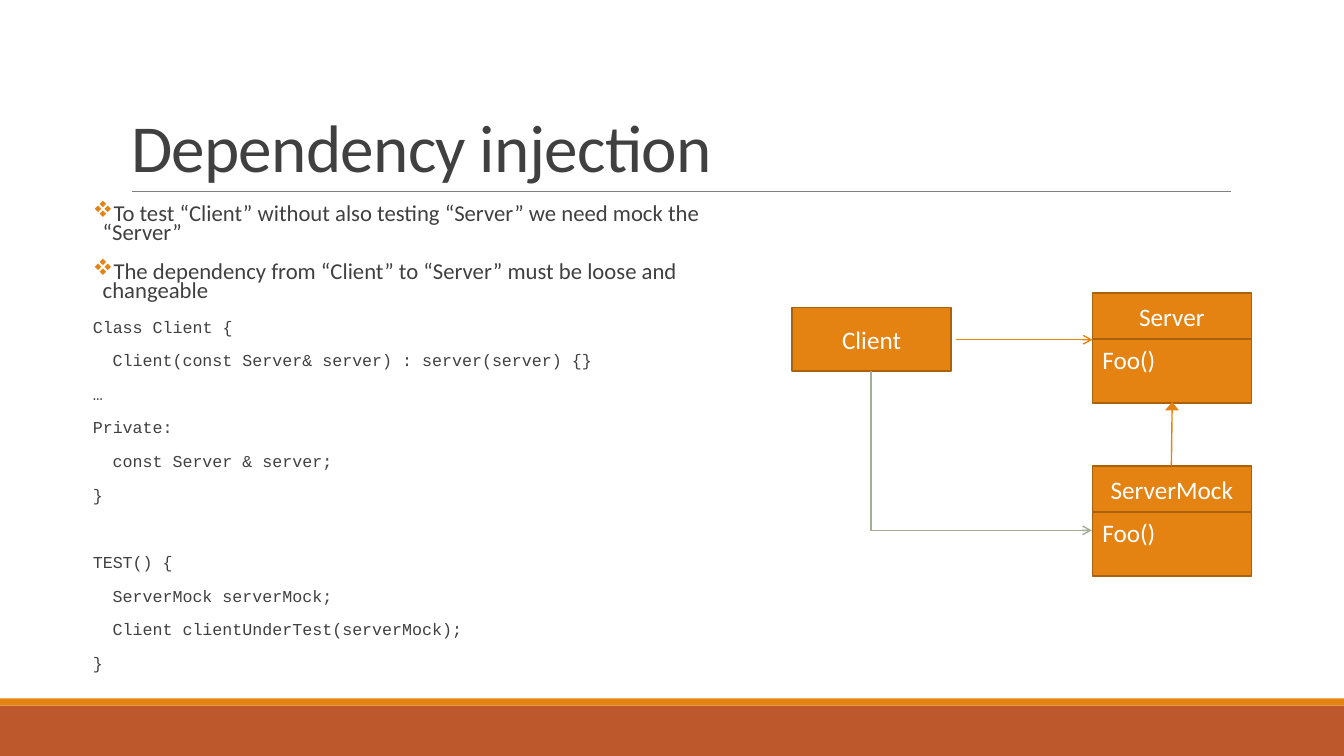
from lxml import etree
from pptx import Presentation, util as u
from pptx.dml.color import RGBColor
from pptx.enum import shapes, text
from pptx.oxml.ns import qn

COLORS = {"orange": "E48312", "rust": "BD582C", "edge": "A9610D", "rule": "808080",
          "ink": "404040", "white": "FFFFFF", "sage": "A2AF92"}
Cm, Pt = u.Cm, u.Pt


def add_box(left, top, width, height, fill, edge=None, label="", centred=True):
    box = slide.shapes.add_shape(shapes.MSO_SHAPE.RECTANGLE, Cm(left), Cm(top), Cm(width), Cm(height))
    box.shadow.inherit = False
    box.fill.solid()
    box.fill.fore_color.rgb = RGBColor.from_string(COLORS[fill])
    if edge:
        box.line.color.rgb = RGBColor.from_string(COLORS[edge])
        box.line.width = Pt(1.25)
    else:
        box.line.fill.background()
    if label:
        frame = box.text_frame
        frame.vertical_anchor = text.MSO_ANCHOR.MIDDLE if centred else text.MSO_ANCHOR.TOP
        para = frame.paragraphs[0]
        para.alignment = text.PP_ALIGN.CENTER if centred else text.PP_ALIGN.LEFT
        span = para.add_run()
        span.text = label
        span.font.name, span.font.size = "Calibri", Pt(18)
        span.font.color.rgb = RGBColor.from_string(COLORS["white"])


def add_line(kind, start, end, color, width, head=None, spread="med"):
    line = slide.shapes.add_connector(kind, *[Cm(value) for value in start + end])
    line.line.color.rgb = RGBColor.from_string(COLORS[color])
    line.line.width = Pt(width)
    if head:
        etree.SubElement(line.line._get_or_add_ln(), qn("a:tailEnd"), type=head, w=spread)
    etree.SubElement(line._element.spPr, qn("a:effectLst"))
    return line


deck = Presentation()
deck.slide_width, deck.slide_height = Cm(33.87), Cm(19.05)
slide = deck.slides.add_slide(deck.slide_layouts[5])
straight = shapes.MSO_CONNECTOR.STRAIGHT

# Footer bands and title rule
add_box(0, 17.78, 33.87, 1.27, "rust")
add_box(0, 17.6, 33.87, 0.18, "orange")
add_line(straight, (3.33, 4.83), (31.01, 4.83), "rule", 0.5)

# Title
title = slide.shapes.title
title.left, title.top, title.width, title.height = Cm(3.05), Cm(0.79), Cm(27.94), Cm(4.04)
title.text_frame.auto_size = text.MSO_AUTO_SIZE.NONE
title.text_frame.vertical_anchor = text.MSO_ANCHOR.BOTTOM
para = title.text_frame.paragraphs[0]
para.alignment = text.PP_ALIGN.LEFT
para.line_spacing = 0.85
span = para.add_run()
span.text = "Dependency injection"
span.font.name, span.font.size = "Calibri", Pt(48)
span.font.color.rgb = RGBColor.from_string(COLORS["ink"])
span.font._element.set("spc", "-50")

# Explanation and code: style, wording, space before
lines = [
    ("bullet", "To test “Client” without also testing “Server” we need mock the “Server”", 12),
    ("bullet", "The dependency from “Client” to “Server” must be loose and changeable", 12),
    ("code", "Class Client {", 12),
    ("inner", "Client(const Server& server) : server(server) {}", 12),
    ("code", "…", 12),
    ("code", "Private:", 12),
    ("inner", "const Server & server;", 12),
    ("code", "}", 12),
    ("code", "TEST() {", 36),
    ("inner", "ServerMock serverMock;", 12),
    ("inner", "Client clientUnderTest(serverMock);", 12),
    ("code", "}", 12),
]
styles = {  # font, size, left margin and first-line indent in cm
    "bullet": ("Calibri", 16.2, 0.25, -0.25),
    "code": ("Courier New", 11.9, 0, 0),
    "inner": ("Courier New", 11.9, 0.5, 0),
}
body = slide.shapes.add_textbox(Cm(2.34), Cm(5.08), Cm(17.1), Cm(12.09))
frame = body.text_frame
frame.word_wrap = True
frame.margin_left = frame.margin_right = 0
for number, (style, wording, before) in enumerate(lines):
    font, size, margin, indent = styles[style]
    para = frame.add_paragraph() if number else frame.paragraphs[0]
    para.line_spacing = 0.7
    para.space_before, para.space_after = Pt(before), Pt(2)
    props = para._p.get_or_add_pPr()
    props.set("marL", str(Cm(margin)))
    props.set("indent", str(Cm(indent)))
    if style == "bullet":
        tint = etree.SubElement(props, qn("a:buClr"))
        etree.SubElement(tint, qn("a:srgbClr"), val=COLORS["orange"])
        # The letter v is the four-diamond sign in Wingdings
        etree.SubElement(props, qn("a:buFont"), typeface="Wingdings", pitchFamily="2", charset="2")
        etree.SubElement(props, qn("a:buChar"), char="v")
    span = para.add_run()
    span.text = wording
    span.font.name, span.font.size = font, Pt(size)
    span.font.color.rgb = RGBColor.from_string(COLORS["ink"])

# Class boxes
add_box(19.96, 7.75, 4.01, 1.6, "orange", "edge", "Client")
for name, top in (("Server", 7.38), ("ServerMock", 11.74)):
    add_box(27.53, top, 4.01, 1.17, "orange", "edge", name)
    add_box(27.53, top + 1.17, 4.01, 1.6, "orange", "edge", "Foo()", centred=False)

# Client uses Server, ServerMock inherits from Server
add_line(straight, (24.08, 8.56), (27.53, 8.56), "orange", 1, "arrow")
add_line(straight, (29.52, 11.73), (29.54, 10.13), "orange", 1, "triangle", "lg")

# Client uses ServerMock: one-corner elbow, turned to run down and then right
elbow = add_line(shapes.MSO_CONNECTOR.ELBOW, (26.74, 8.58), (22.73, 14.14), "sage", 1, "arrow")
elbow._element.spPr.find(qn("a:prstGeom")).set("prst", "bentConnector2")
elbow._element.spPr.find(qn("a:xfrm")).set("rot", str(270 * 60000))

deck.save("out.pptx")
